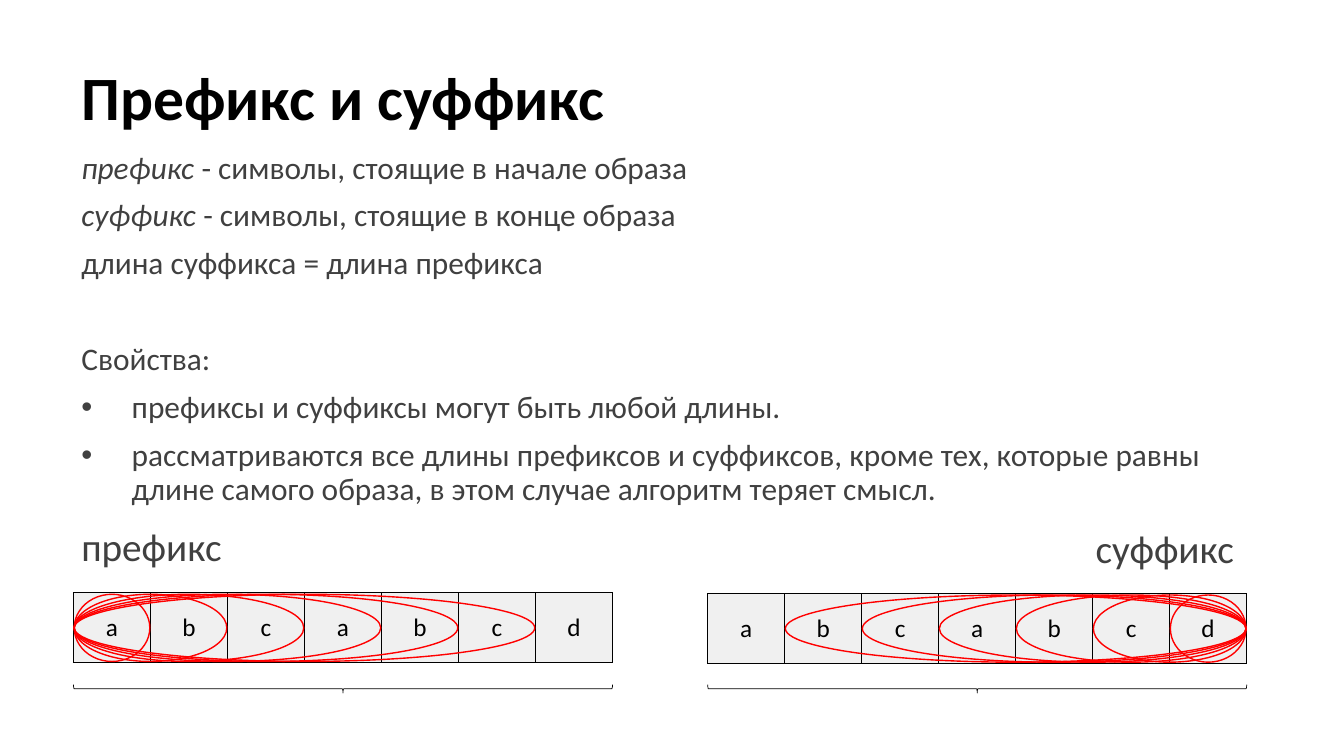
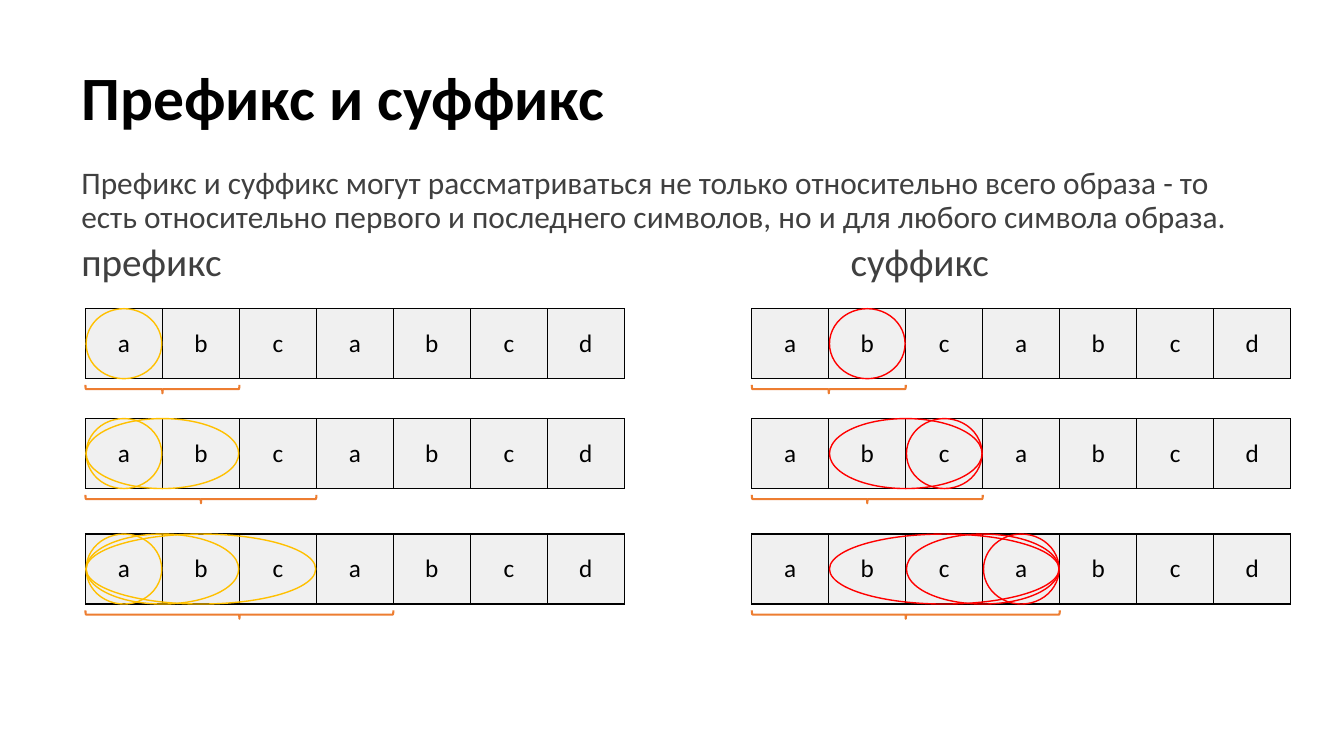
from lxml import etree
from pptx import Presentation
from pptx.dml.color import RGBColor
from pptx.enum.shapes import MSO_SHAPE
from pptx.enum.text import MSO_ANCHOR, PP_ALIGN
from pptx.oxml.ns import qn
from pptx.util import Pt

ELLIPSE, BRACE = MSO_SHAPE.OVAL, MSO_SHAPE.RIGHT_BRACE
MIDDLE, TOP = MSO_ANCHOR.MIDDLE, MSO_ANCHOR.TOP
LEFT, CENTER = PP_ALIGN.LEFT, PP_ALIGN.CENTER

FONT = "Calibri"
BLACK, GREY, PALE = "000000", "404040", "F0F0F0"
RED, AMBER, ORANGE = "FF0000", "FFC000", "ED7D31"
PATTERN = "abcabcd"
CELL_WIDTH, CELL_HEIGHT, BRACE_DEPTH = 55, 50, 6
MARGIN = 51


def color(value):
    return RGBColor.from_string(value)


def write(para, text, *, size=22.4, ink=GREY, bold=False, italic=False,
          align=LEFT, line=0.9, before=10):
    """Add one formatted span to a paragraph."""
    para.alignment, para.line_spacing, para.space_before = align, line, Pt(before)
    span = para.add_run()
    span.text = text
    span.font.name, span.font.size = FONT, Pt(size)
    span.font.bold, span.font.italic = bold, italic
    span.font.color.rgb = color(ink)


def add_bullet(para, indent=36):
    properties = para._p.get_or_add_pPr()
    properties.set("marL", str(Pt(indent)))
    properties.set("indent", str(-Pt(indent)))
    etree.SubElement(properties, qn("a:buFont")).set("typeface", "Arial")
    etree.SubElement(properties, qn("a:buChar")).set("char", "•")


def add_borders(cell, ink=BLACK, width=1):
    properties = cell._tc.get_or_add_tcPr()
    for side in ("a:lnL", "a:lnR", "a:lnT", "a:lnB"):
        border = etree.SubElement(properties, qn(side), w=str(Pt(width)))
        fill = etree.SubElement(border, qn("a:solidFill"))
        etree.SubElement(fill, qn("a:srgbClr")).set("val", ink)


class Lecture:
    def __init__(self):
        self.deck = Presentation()
        self.deck.slide_width, self.deck.slide_height = Pt(960), Pt(540)
        self.page = None

    def new_page(self, title):
        self.page = self.deck.slides.add_slide(self.deck.slide_layouts[6])
        frame = self.text_box(MARGIN, 20, 828, 104, anchor=MIDDLE)
        write(frame.paragraphs[0], title, size=44, ink=BLACK, bold=True, before=0)

    def text_box(self, x, y, width, height, anchor=TOP):
        frame = self.page.shapes.add_textbox(
            Pt(x), Pt(y), Pt(width), Pt(height)).text_frame
        frame.word_wrap, frame.vertical_anchor = True, anchor
        return frame

    def label(self, x, y, text):
        write(self.text_box(x, y, 115, 42).paragraphs[0], text, size=28)

    def outline(self, kind, x, y, width, height, ink, weight=1):
        shape = self.page.shapes.add_shape(kind, Pt(x), Pt(y), Pt(width), Pt(height))
        shape.shadow.inherit = False
        shape.fill.background()
        shape.line.color.rgb, shape.line.width = color(ink), Pt(weight)
        return shape

    def pattern_row(self, x, y):
        table = self.page.shapes.add_table(
            1, len(PATTERN), Pt(x), Pt(y),
            Pt(CELL_WIDTH * len(PATTERN)), Pt(CELL_HEIGHT)).table
        table.first_row = table.horz_banding = False
        for column, letter in enumerate(PATTERN):
            table.columns[column].width = Pt(CELL_WIDTH)
            cell = table.cell(0, column)
            cell.vertical_anchor = MIDDLE
            add_borders(cell)
            cell.fill.solid()
            cell.fill.fore_color.rgb = color(PALE)
            write(cell.text_frame.paragraphs[0], letter, size=18, ink=BLACK,
                  align=CENTER, line=1.0, before=0)

    def brace(self, x, y, cells, ink, weight):
        """Turn a right brace so that it lies under the given cells."""
        length = cells * CELL_WIDTH
        shape = self.outline(BRACE, x + (length - BRACE_DEPTH) / 2,
                             y - (length - BRACE_DEPTH) / 2,
                             BRACE_DEPTH, length, ink, weight)
        shape.rotation = 90

    def loops(self, x, y, count, ink, end=None, inset=0):
        """Ring prefixes of 1..count cells, or suffixes that finish at cell end."""
        for length in range(1, count + 1):
            start = 0 if end is None else end - length
            self.outline(ELLIPSE, x + start * CELL_WIDTH + 0.5, y + inset,
                         length * CELL_WIDTH - 1, CELL_HEIGHT - 2 * inset, ink)


def definitions_page(lecture):
    lecture.new_page("Префикс и суффикс")

    # Definitions and properties
    frame = lecture.text_box(MARGIN, 105, 840, 262)
    definitions = [("префикс ", "- символы, стоящие в начале образа"),
                   ("суффикс ", "- символы, стоящие в конце образа")]
    para = frame.paragraphs[0]
    for term, meaning in definitions:
        write(para, term, italic=True)
        write(para, meaning)
        para = frame.add_paragraph()
    write(para, "длина суффикса = длина префикса")
    write(frame.add_paragraph(), "Свойства:", before=44.5)
    for text in (
            "префиксы и суффиксы могут быть любой длины.",
            "рассматриваются все длины префиксов и суффиксов, кроме тех, которые "
            "равны длине самого образа, в этом случае алгоритм теряет смысл."):
        para = frame.add_paragraph()
        write(para, text)
        add_bullet(para)

    # All proper prefixes and suffixes of the whole pattern
    total = len(PATTERN)
    for x, y, label_x, label_y, text, end in (
            (52.5, 423.5, MARGIN, 373, "префикс", None),
            (505.5, 424, 775.5, 374.5, "суффикс", total)):
        lecture.label(label_x, label_y, text)
        lecture.pattern_row(x, y)
        lecture.loops(x, y, total - 1, RED, end, inset=1)
        lecture.brace(x, 489, total, BLACK, 0.5)


def partial_page(lecture):
    lecture.new_page("Префикс и суффикс")
    frame = lecture.text_box(MARGIN, 116, 858, 76)
    write(frame.paragraphs[0],
          "Префикс и суффикс могут рассматриваться не только относительно всего "
          "образа - то есть относительно первого и последнего символов, но и для "
          "любого символа образа.")
    lecture.label(MARGIN, 170, "префикс")
    lecture.label(600.5, 170, "суффикс")

    # Each row considers one more symbol of the pattern
    for count, y in enumerate((220.5, 299, 381.5), start=1):
        covered = count + 1
        for x, ink, end in ((61, AMBER, None), (537, RED, covered)):
            lecture.pattern_row(x, y)
            lecture.brace(x, y + CELL_HEIGHT + 4.5, covered, ORANGE, 1.5)
            lecture.loops(x, y, count, ink, end)


def main():
    lecture = Lecture()
    definitions_page(lecture)
    partial_page(lecture)
    lecture.deck.save("out.pptx")


if __name__ == "__main__":
    main()
